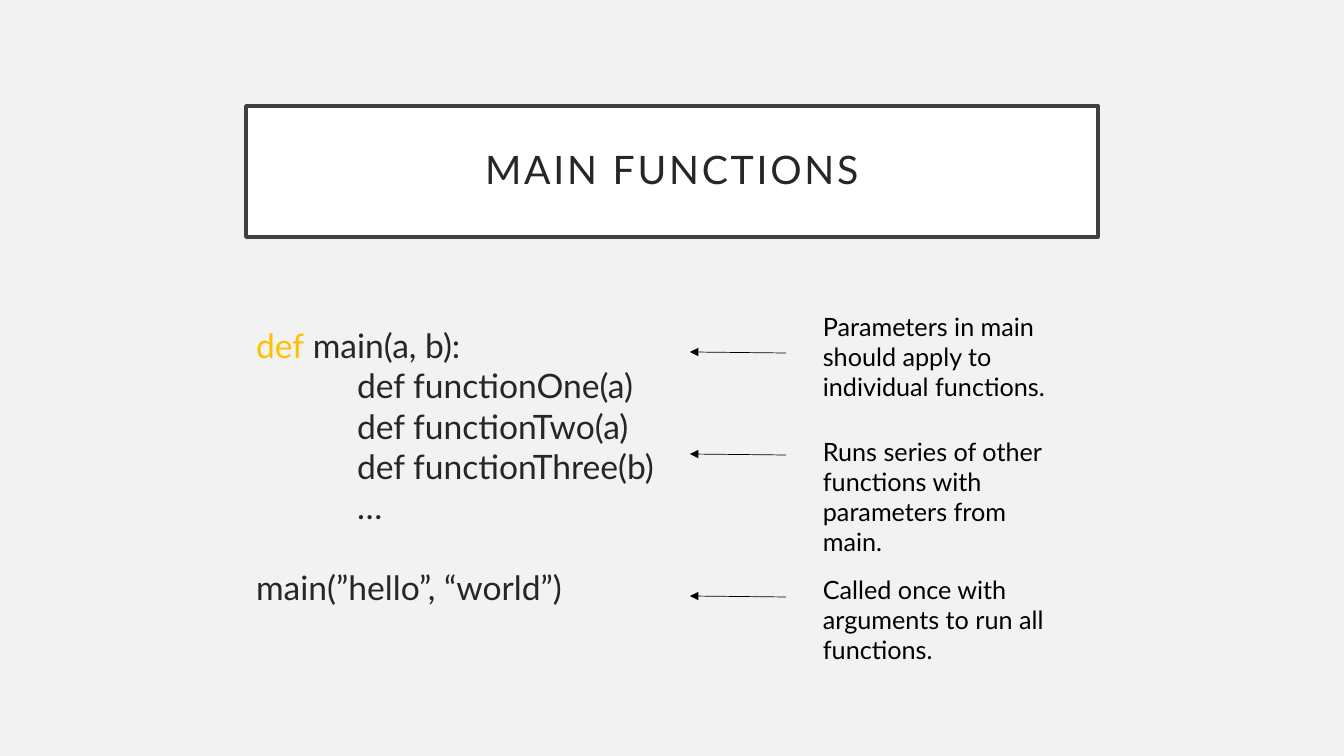
from dataclasses import dataclass

from lxml import etree
from pptx import Presentation, util as u
from pptx.dml.color import RGBColor
from pptx.enum import shapes, text
from pptx.oxml.ns import qn

EMU_PER_PIXEL = 914400 / 100.8


@dataclass(frozen=True)
class Theme:
    """Colours, font and type sizes of the slide."""
    font: str = "Lato"
    background: str = "F2F2F2"
    panel: str = "FFFFFF"
    border: str = "404040"
    ink: str = "262626"
    keyword: str = "FFC000"
    note: str = "000000"
    title_size: int = 28
    code_size: int = 24
    note_size: int = 18


def px(pixels):
    """Turn whole pixels into EMU."""
    return u.Emu(round(pixels * EMU_PER_PIXEL))


def write(paragraph, content, *, font, size, color, tracking=None):
    """Add one formatted run of text to a paragraph."""
    run = paragraph.add_run()
    run.text = content
    run.font.name, run.font.size = font, u.Pt(size)
    run.font.color.rgb = RGBColor.from_string(color)
    if tracking:
        run.font._element.set("spc", str(tracking * 100))


class SlideBuilder:
    """Holds the theme and the current slide."""

    def __init__(self, slide, theme):
        """Keep the slide and paint its background."""
        self.slide, self.theme = slide, theme
        slide.background.fill.solid()
        slide.background.fill.fore_color.rgb = RGBColor.from_string(theme.background)

    def place(self, holder, left, top, width, height):
        """Move a placeholder and give back its text frame."""
        holder.left, holder.top = px(left), px(top)
        holder.width, holder.height = px(width), px(height)
        frame = holder.text_frame
        frame.auto_size = text.MSO_AUTO_SIZE.NONE
        frame.word_wrap = True
        return frame

    def title(self, content, *box, inset=20):
        """Write the title in its bordered panel."""
        theme, holder = self.theme, self.slide.shapes.title
        frame = self.place(holder, *box)
        holder.fill.solid()
        holder.fill.fore_color.rgb = RGBColor.from_string(theme.panel)
        holder.line.color.rgb = RGBColor.from_string(theme.border)
        holder.line.width = u.Pt(2.5)
        frame.margin_left = frame.margin_right = px(inset)
        frame.margin_top = frame.margin_bottom = px(inset)
        frame.vertical_anchor = text.MSO_ANCHOR.MIDDLE
        heading = frame.paragraphs[0]
        heading.alignment = text.PP_ALIGN.CENTER
        heading.line_spacing = 0.9
        write(heading, content, font=theme.font, size=theme.title_size,
              color=theme.ink, tracking=2)

    def code(self, lines, *box, indent=101):
        """Write code lines, each given as (level, gap before in points, runs)."""
        theme = self.theme
        frame = self.place(self.slide.placeholders[1], *box)
        frame.vertical_anchor = text.MSO_ANCHOR.TOP
        for number, (level, gap, runs) in enumerate(lines):
            line = frame.add_paragraph() if number else frame.paragraphs[0]
            line.alignment = text.PP_ALIGN.LEFT
            line.space_before, line.space_after = u.Pt(gap), u.Pt(0)
            line.line_spacing = 1.0
            properties = line._p.get_or_add_pPr()
            properties.set("marL", str(px(level * indent)))
            properties.set("indent", "0")
            etree.SubElement(properties, qn("a:buNone"))
            for content, color in runs:
                write(line, content, font=theme.font, size=theme.code_size, color=color)

    def note(self, content, left, top, width, height):
        """Write a note beside the code."""
        theme = self.theme
        box = self.slide.shapes.add_textbox(px(left), px(top), px(width), px(height))
        frame = box.text_frame
        frame.word_wrap = True
        frame.auto_size = text.MSO_AUTO_SIZE.SHAPE_TO_FIT_TEXT
        write(frame.paragraphs[0], content, font=theme.font,
              size=theme.note_size, color=theme.note)

    def arrow(self, x1, y1, x2, y2):
        """Draw a thin arrow pointing at the second end."""
        arrow = self.slide.shapes.add_connector(
            shapes.MSO_CONNECTOR.STRAIGHT, px(x1), px(y1), px(x2), px(y2))
        arrow.line.color.rgb = RGBColor.from_string(self.theme.note)
        arrow.line.width = u.Pt(0.5)
        etree.SubElement(arrow.line._get_or_add_ln(), qn("a:tailEnd"), type="triangle")
        etree.SubElement(arrow._element.spPr, qn("a:effectLst"))


def main():
    """Build and save the slide."""
    theme = Theme()
    deck = Presentation()
    deck.slide_width, deck.slide_height = px(1344), px(756)
    builder = SlideBuilder(deck.slides.add_slide(deck.slide_layouts[1]), theme)

    builder.title("MAIN FUNCTIONS", 246, 106, 852, 131)

    calls = ["def functionOne(a)", "def functionTwo(a)", "def functionThree(b)", "…"]
    signature = [("def", theme.keyword), (" main(a, b):", theme.ink)]
    blank_line = theme.code_size * 1.2
    builder.code(
        [(0, 0, signature)]
        + [(1, 0, [(call, theme.ink)]) for call in calls]
        + [(0, blank_line, [("main(”hello”, “world”)", theme.ink)])],
        246, 320, 852, 349)

    notes = [
        ("Parameters in main should apply to individual functions.", 306, 284, 353),
        ("Runs series of other functions with parameters from main.", 431, 256, 455),
        ("Called once with arguments to run all functions.", 569, 256, 597),
    ]
    for content, top, width, arrow_y in notes:
        builder.arrow(786, arrow_y, 690, arrow_y - 1)
        builder.note(content, 813, top, width, 102)

    deck.save("out.pptx")


main()
